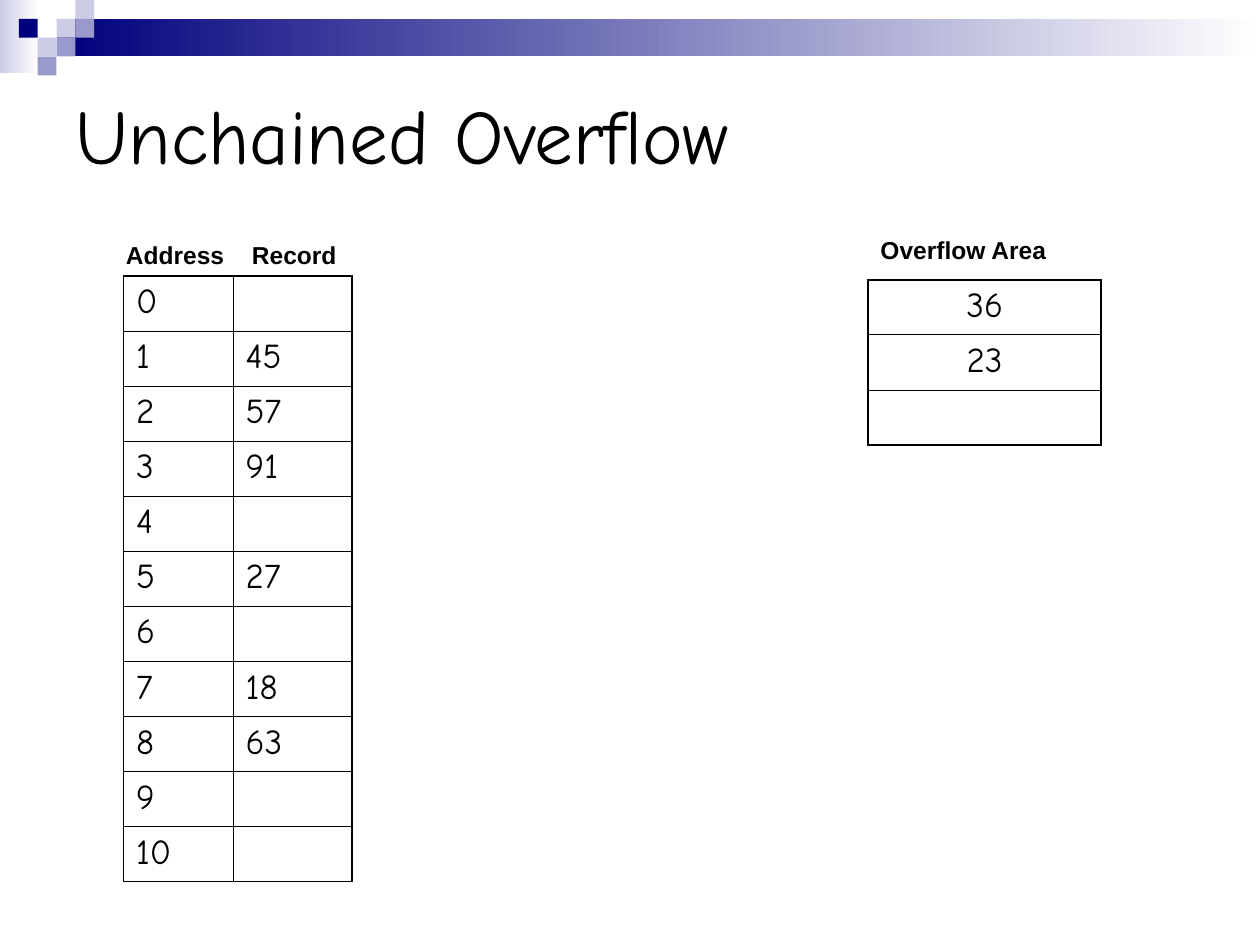
import pptx
import pptx.dml.color
import pptx.enum.shapes
import pptx.enum.text
import pptx.oxml
import pptx.oxml.ns
import pptx.util
from pptx.util import Cm, Pt

ALIGN = pptx.enum.text.PP_ALIGN
NAVY, LILAC, PALE, BLACK, WHITE = "00007D", "9999CC", "CCCCE6", "000000", "FFFFFF"
SQUARE = 0.38
ROW_HEIGHT = 1.11
THICK, THIN = 1.08, 0.45


def color(value):
    return pptx.dml.color.RGBColor.from_string(value)


def set_font(p, name, size, bold=False):
    p.font.name = name
    p.font.size = Pt(size)
    p.font.bold = bold
    p.font.color.rgb = color(BLACK)


def add_rect(slide, left, top, width, height, fill, fade_to=None):
    sp = slide.shapes.add_shape(pptx.enum.shapes.MSO_SHAPE.RECTANGLE,
                                Cm(left), Cm(top), Cm(width), Cm(height))
    sp.shadow.inherit = False
    sp.line.fill.background()
    if fade_to:
        sp.fill.gradient()
        sp.fill.gradient_angle = 0
        for stop, value in zip(sp.fill.gradient_stops, (fill, fade_to)):
            stop.color.rgb = color(value)
    else:
        sp.fill.solid()
        sp.fill.fore_color.rgb = color(fill)


def add_banner(slide):
    add_rect(slide, 0, 0, 0.79, 1.47, PALE, WHITE)
    add_rect(slide, 3 * SQUARE, SQUARE, 24.26, 2 * SQUARE, NAVY, WHITE)
    # Checkered squares as column, row, colour
    for col, row, fill in ((3, 1, PALE), (4, 0, PALE), (4, 1, LILAC), (2, 2, PALE),
                           (1, 1, NAVY), (3, 2, LILAC), (2, 3, LILAC)):
        add_rect(slide, col * SQUARE, row * SQUARE, SQUARE, SQUARE, fill)


def add_title(slide, text):
    title = slide.shapes.title
    title.left, title.top, title.width, title.height = Cm(1.27), Cm(1.27), Cm(22.86), Cm(2.84)
    tf = title.text_frame
    tf.text = text
    tf.vertical_anchor = pptx.enum.text.MSO_ANCHOR.MIDDLE
    p = tf.paragraphs[0]
    p.alignment = ALIGN.LEFT
    set_font(p, "Comic Neue", 44)


def add_label(slide, left, top, text, tab=None):
    sp = slide.shapes.add_textbox(Cm(left), Cm(top), Cm(4.8), Cm(0.86))
    tf = sp.text_frame
    tf.word_wrap = True
    p = tf.paragraphs[0]
    p.text = text
    if tab:
        p._p.get_or_add_pPr().append(pptx.oxml.parse_xml(
            f'<a:tabLst {pptx.oxml.ns.nsdecls("a")}><a:tab pos="{Cm(tab)}" algn="l"/></a:tabLst>'))
    set_font(p, "Arial", 14, bold=True)


def set_border(cell, side, width):
    cell._tc.get_or_add_tcPr().append(pptx.oxml.parse_xml(
        f'<a:ln{side} {pptx.oxml.ns.nsdecls("a")} w="{Pt(width)}">'
        f'<a:solidFill><a:srgbClr val="{BLACK}"/></a:solidFill></a:ln{side}>'))


def add_grid(slide, left, top, widths, rows, alignment):
    n_rows, n_cols = len(rows), len(widths)
    table = slide.shapes.add_table(n_rows, n_cols, Cm(left), Cm(top), Cm(sum(widths)),
                                   Cm(n_rows * ROW_HEIGHT)).table
    table.first_row = table.horz_banding = False
    for column, width in zip(table.columns, widths):
        column.width = Cm(width)
    for i, values in enumerate(rows):
        table.rows[i].height = Cm(ROW_HEIGHT)
        for j, value in enumerate(values):
            cell = table.cell(i, j)
            # Thick outer frame, thin inner rules
            outer = {"L": j == 0, "R": j == n_cols - 1, "T": i == 0, "B": i == n_rows - 1}
            for side, is_outer in outer.items():
                set_border(cell, side, THICK if is_outer else THIN)
            cell.fill.background()
            p = cell.text_frame.paragraphs[0]
            p.text = value
            p.alignment = alignment
            set_font(p, "Comic Neue", 20)


def main():
    prs = pptx.Presentation()
    prs.slide_width, prs.slide_height = Cm(25.4), Cm(19.05)
    slide = prs.slides.add_slide(prs.slide_layouts[5])

    add_banner(slide)
    add_title(slide, "Unchained Overflow")

    # Main storage area
    records = ["", "45", "57", "91", "", "27", "", "18", "63", "", ""]
    rows = [(str(address), record) for address, record in enumerate(records)]
    add_grid(slide, 2.49, 5.56, (2.21, 2.39), rows, ALIGN.LEFT)
    add_label(slide, 2.29, 4.72, "Address\tRecord", tab=2.54)

    # Overflow area
    add_grid(slide, 17.5, 5.64, (4.7,), [("36",), ("23",), ("",)], ALIGN.CENTER)
    add_label(slide, 17.5, 4.62, "Overflow Area")

    prs.save("out.pptx")


if __name__ == "__main__":
    main()
